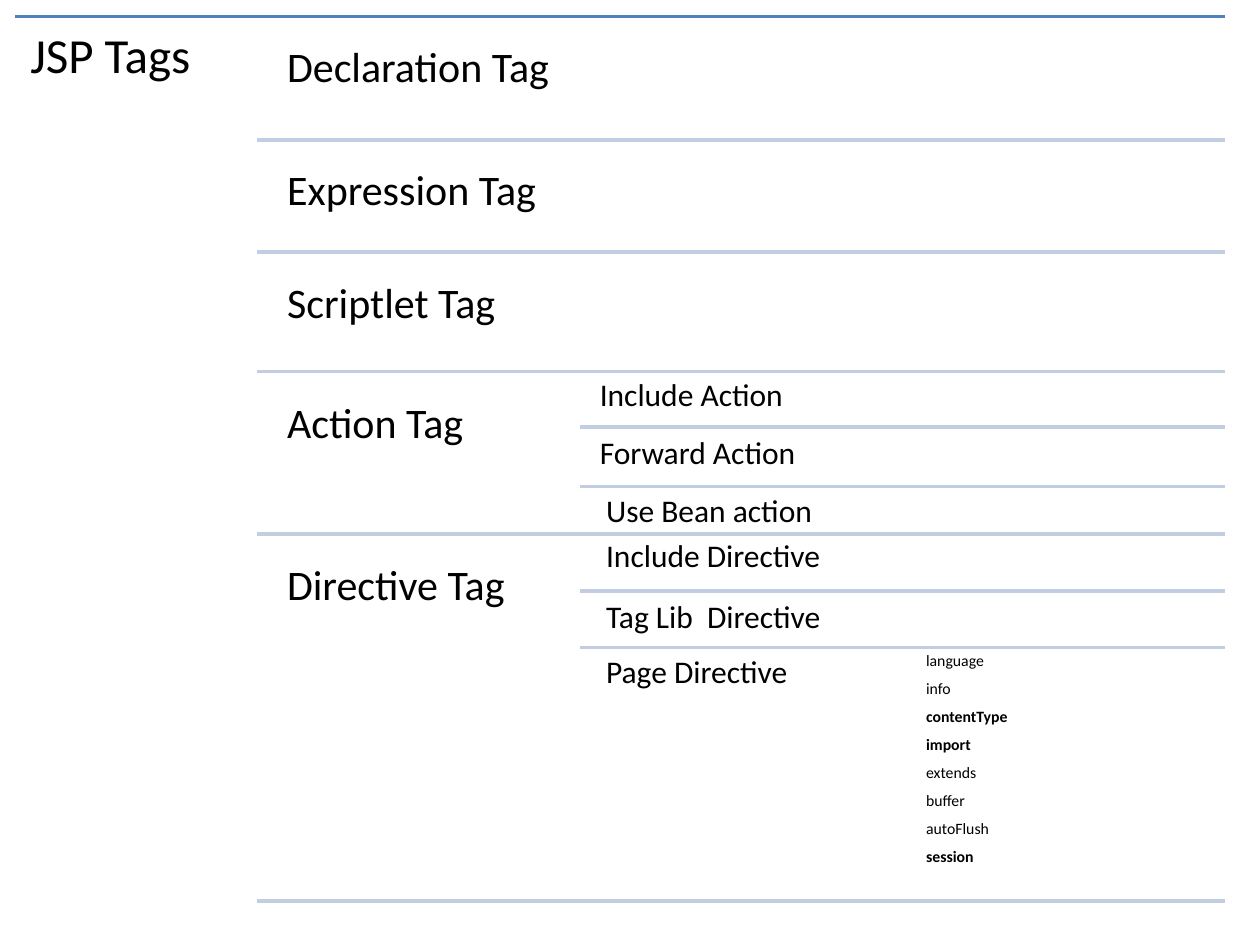
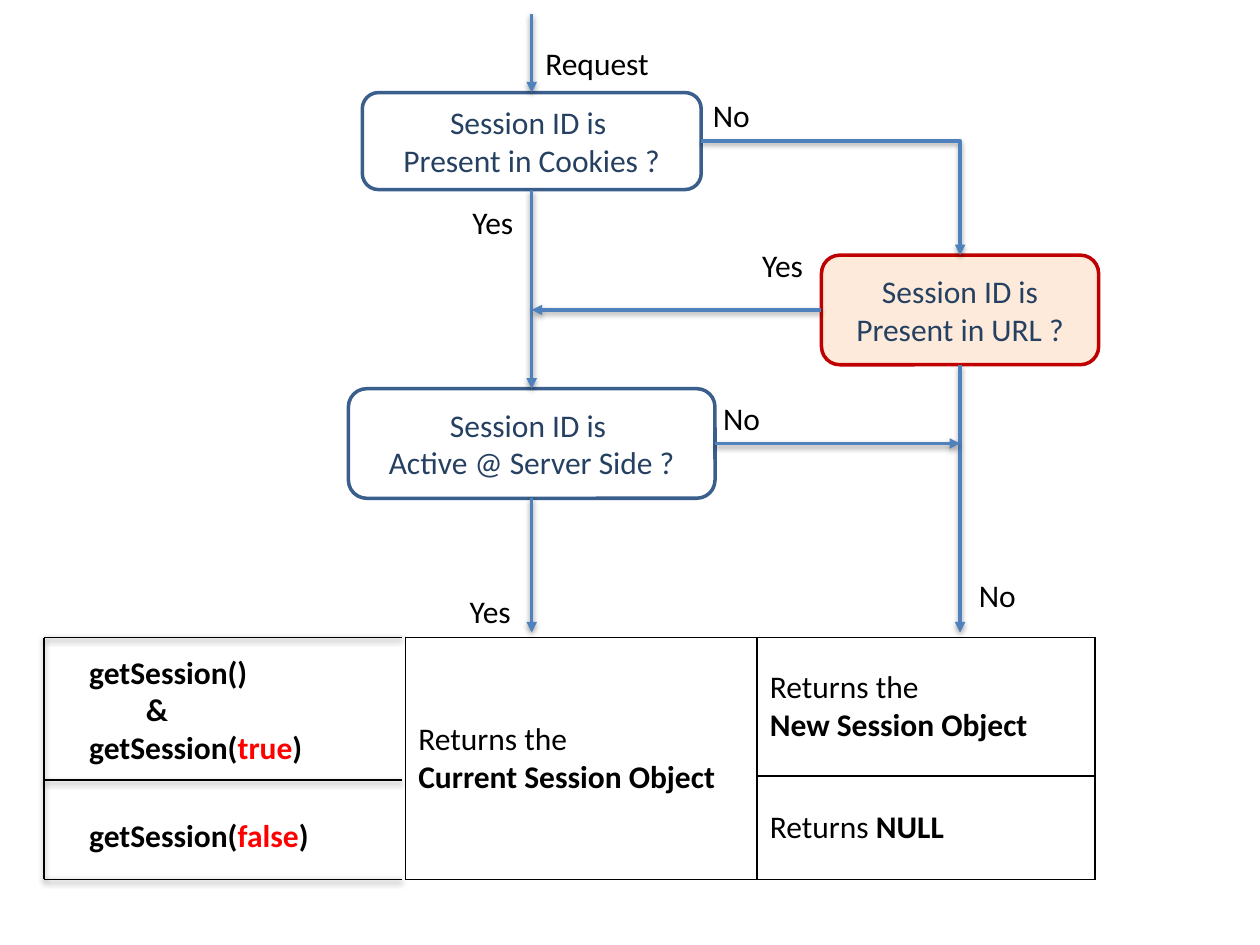
from lxml.etree import SubElement
from pptx import Presentation
from pptx.dml.color import RGBColor
from pptx.enum.shapes import MSO_CONNECTOR, MSO_SHAPE
from pptx.enum.text import MSO_ANCHOR, MSO_AUTO_SIZE, PP_ALIGN
from pptx.oxml.ns import qn
from pptx.util import Inches, Pt

COLORS = {
    "black": "000000",
    "accent": "4F81BD",
    "rule": "C2CDE1",
    "outline": "3A5F8C",
    "navy": "254061",
    "peach": "FDEADA",
    "dark red": "C00000",
    "red": "FF0000",
}
FONT = "Calibri"
TOP, LEFT, BOTTOM, RIGHT = range(4)


def write(frame, paragraphs, size=18, color="black", bold=False, inset=None, frame_format=None, para_format=None):
    if inset is not None:
        for side in ("left", "top", "right", "bottom"):
            setattr(frame, f"margin_{side}", Inches(inset))
    for name, value in (frame_format or {}).items():
        setattr(frame, name, value)
    for index, spans in enumerate(paragraphs):
        para = frame.add_paragraph() if index else frame.paragraphs[0]
        for name, value in (para_format or {}).items():
            setattr(para, name, value)
        for text, changes in spans:
            style = {"size": size, "color": color, "bold": bold, **changes}
            span = para.add_run()
            span.text = text
            font_format = {"name": FONT, "size": Pt(style["size"]), "bold": style["bold"]}
            for name, value in font_format.items():
                setattr(span.font, name, value)
            span.font.color.rgb = RGBColor.from_string(COLORS[style["color"]])


def draw_line(page, start, end, color, width, kind=MSO_CONNECTOR.STRAIGHT, arrow=False, shadow=False):
    line = page.shapes.add_connector(kind, *[Inches(value) for value in (*start, *end)])
    line.line.color.rgb = RGBColor.from_string(COLORS[color])
    line.line.width = Pt(width)
    properties = line._element.spPr
    if arrow:
        SubElement(properties.find(qn("a:ln")), qn("a:tailEnd"), type="triangle")
    effects = SubElement(properties, qn("a:effectLst"))
    if shadow:
        outer = SubElement(effects, qn("a:outerShdw"), blurRad="40000", dist="20000", dir="5400000", rotWithShape="0")
        shade = SubElement(outer, qn("a:srgbClr"), val=COLORS["black"])
        SubElement(shade, qn("a:alpha"), val="38000")
    return line


deck = Presentation()
deck.slide_width, deck.slide_height = Inches(10), Inches(7.5)

page = deck.slides.add_slide(deck.slide_layouts[5])
top_left = {"word_wrap": True, "auto_size": MSO_AUTO_SIZE.NONE, "vertical_anchor": MSO_ANCHOR.TOP}
tight = {"line_spacing": 0.9, "alignment": PP_ALIGN.LEFT}

draw_line(page, (0.12, 0.13), (9.72, 0.13), "accent", 2)
title = page.shapes.title
for name, value in {"left": 0.12, "top": 0.13, "width": 1.92, "height": 7.16}.items():
    setattr(title, name, Inches(value))
write(title.text_frame, [[("JSP Tags", {})]], 28, inset=0.12, frame_format=top_left, para_format=tight)

for rule_left, rule_tops in ((2.04, (1.11, 2, 2.95, 4.24, 7.15)), (4.6, (3.39, 3.86, 4.69, 5.14))):
    for rule_top in rule_tops:
        draw_line(page, (rule_left, rule_top), (9.72, rule_top), "rule", 2)

tags = [
    ("Declaration Tag", 2.18, 0.27),
    ("Expression Tag", 2.18, 1.24),
    ("Scriptlet Tag", 2.18, 2.14),
    ("Action Tag", 2.18, 3.09),
    ("Directive Tag", 2.18, 4.38),
]
kinds = [
    ("Include Action", 4.69, 2.94),
    ("Forward Action", 4.69, 3.4),
    ("Use Bean action", 4.74, 3.86),
    ("Include Directive", 4.74, 4.22),
    ("Tag Lib  Directive", 4.74, 4.7),
    ("Page Directive", 4.74, 5.14),
]
attribute_names = ["language", "info", "contentType", "import", "extends", "buffer", "autoFlush", "session"]
attributes = [(name, 7.31, 5.14 + 1.56 * index / 7) for index, name in enumerate(attribute_names)]
bold_names = {"contentType", "import", "session"}

for entries, size, inset, height in ((tags, 24, 0.1, 0.82), (kinds, 18, 0.07, 0.37), (attributes, 9, 0.04, 0.22)):
    for label, left, top in entries:
        box = page.shapes.add_textbox(Inches(left), Inches(top), Inches(2.42), Inches(height))
        write(box.text_frame, [[(label, {})]], size, bold=label in bold_names, inset=inset,
              frame_format=top_left, para_format=tight)

page = deck.slides.add_slide(deck.slide_layouts[6])
main_x, side_x = 4.22, 7.62
cookies_y, url_y, active_y = 1.12, 2.46, 3.52
arrow_bottom = 5.02
questions = {
    "cookies": (main_x, cookies_y, 2.69, 0.77, None, "outline", ["Session ID is ", "Present in Cookies ?"]),
    "url": (side_x, url_y, 2.2, 0.87, "peach", "dark red", ["Session ID is Present in URL ?"]),
    "active": (main_x, active_y, 2.91, 0.87, None, "outline", ["Session ID is ", "Active @ Server Side ?"]),
}
boxes = {}
for key, (center_x, center_y, width, height, fill, outline, lines) in questions.items():
    box = page.shapes.add_shape(
        MSO_SHAPE.ROUNDED_RECTANGLE,
        Inches(center_x - width / 2), Inches(center_y - height / 2), Inches(width), Inches(height))
    box.shadow.inherit = False
    if fill:
        box.fill.solid()
        box.fill.fore_color.rgb = RGBColor.from_string(COLORS[fill])
    else:
        box.fill.background()
    box.line.color.rgb = RGBColor.from_string(COLORS[outline])
    box.line.width = Pt(2)
    write(box.text_frame, [[(line, {})] for line in lines], color="navy",
          frame_format={"word_wrap": True, "vertical_anchor": MSO_ANCHOR.MIDDLE},
          para_format={"alignment": PP_ALIGN.CENTER})
    boxes[key] = box

arrows = [
    ((main_x, 0.11), (main_x, 0.73), None, ("cookies", TOP)),
    ((main_x, 1.5), (main_x, 3.08), ("cookies", BOTTOM), ("active", TOP)),
    ((6.52, url_y), (main_x, url_y), ("url", LEFT), None),
    ((5.56, cookies_y), (side_x, 2.02), ("cookies", RIGHT), ("url", TOP)),
    ((side_x, 2.89), (side_x, arrow_bottom), ("url", BOTTOM), None),
    ((main_x, 3.95), (main_x, arrow_bottom), ("active", BOTTOM), None),
    ((5.67, active_y), (side_x, active_y), ("active", RIGHT), None),
]
for start, end, source, target in arrows:
    bent = start[0] != end[0] and start[1] != end[1]
    kind = MSO_CONNECTOR.ELBOW if bent else MSO_CONNECTOR.STRAIGHT
    arrow = draw_line(page, start, end, "accent", 2, kind, arrow=True, shadow=True)
    if bent:
        arrow._element.spPr.find(qn("a:prstGeom")).set("prst", "bentConnector2")
    if source:
        arrow.begin_connect(boxes[source[0]], source[1])
    if target:
        arrow.end_connect(boxes[target[0]], target[1])

label_widths = {"Request": 1.03, "Yes": 0.53, "No": 0.5}
labels = [
    ("Request", 4.23, 0.3),
    ("Yes", 3.65, 1.56),
    ("Yes", 3.63, 4.65),
    ("Yes", 5.95, 1.9),
    ("No", 7.67, 4.52),
    ("No", 5.56, 0.71),
    ("No", 5.64, 3.12),
]
fitted = {"word_wrap": False, "auto_size": MSO_AUTO_SIZE.SHAPE_TO_FIT_TEXT}
for label, left, top in labels:
    box = page.shapes.add_textbox(Inches(left), Inches(top), Inches(label_widths[label]), Inches(0.4))
    write(box.text_frame, [[(label, {})]], frame_format=fitted)

table = page.shapes.add_table(2, 2, Inches(3.22), Inches(5.06), Inches(5.47), Inches(1.92)).table
table.first_row = table.horz_banding = False
for column, width in zip(table.columns, (2.79, 2.68)):
    column.width = Inches(width)
for row, height in zip(table.rows, (1.1, 0.82)):
    row.height = Inches(height)
table.cell(0, 0).merge(table.cell(1, 0))
strong = {"bold": True}
results = {
    (0, 0): [[("Returns the", {})], [("Current Session Object", strong)]],
    (0, 1): [[("Returns the", {})], [("New Session Object", strong)]],
    (1, 1): [[("Returns ", {}), ("NULL", strong)]],
}
for cell in table.iter_cells():
    properties = cell._tc.get_or_add_tcPr()
    for side in ("lnL", "lnR", "lnT", "lnB"):
        border = SubElement(properties, qn(f"a:{side}"), w="12700")
        SubElement(SubElement(border, qn("a:solidFill")), qn("a:srgbClr"), val=COLORS["black"])
    cell.fill.background()
for (row, column), paragraphs in results.items():
    cell = table.cell(row, column)
    cell.vertical_anchor = MSO_ANCHOR.MIDDLE
    write(cell.text_frame, paragraphs)

for line_top in (5.06, 6.19, 6.98):
    draw_line(page, (0.35, line_top), (3.19, line_top), "black", 1, shadow=True)
draw_line(page, (0.35, 5.06), (0.35, 6.98), "black", 1, shadow=True)

true_call, false_call = [
    [("getSession(", {}), (argument, {"color": "red"}), (")", {})] for argument in ("true", "false")
]
box = page.shapes.add_textbox(Inches(0.61), Inches(5.13), Inches(2.23), Inches(1.01))
write(box.text_frame, [[("getSession()", {})], [("&", {})], true_call], bold=True,
      frame_format={**fitted, "word_wrap": True})
box.text_frame.paragraphs[1]._p.get_or_add_pPr().set("marL", str(Inches(0.45)))
box = page.shapes.add_textbox(Inches(0.61), Inches(6.43), Inches(1.96), Inches(0.4))
write(box.text_frame, [false_call], bold=True, frame_format=fitted)

deck.save("out.pptx")
